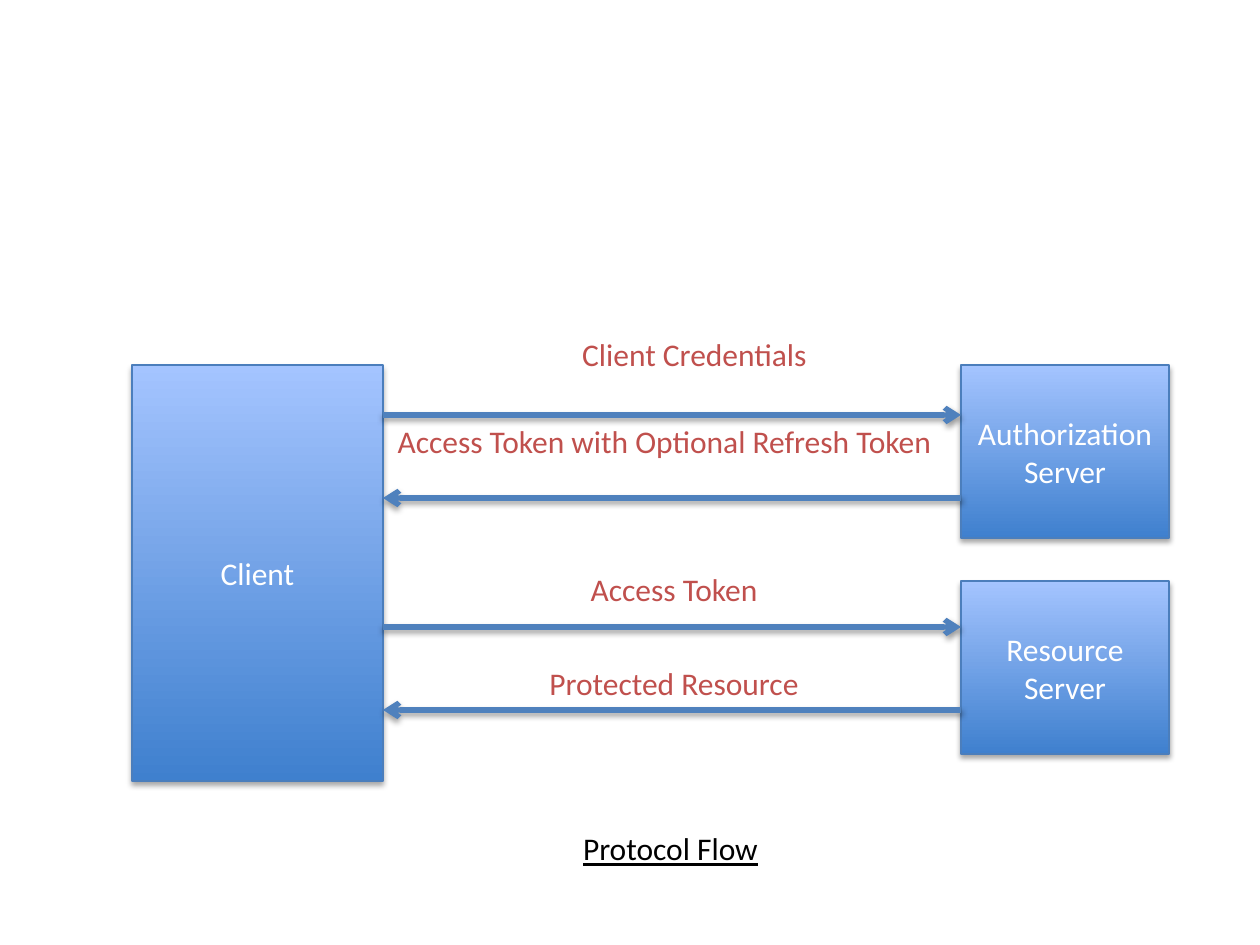
from lxml import etree
from pptx import Presentation
from pptx.dml.color import RGBColor
from pptx.enum.shapes import MSO_CONNECTOR, MSO_SHAPE
from pptx.enum.text import MSO_ANCHOR, MSO_AUTO_SIZE, PP_ALIGN
from pptx.oxml import parse_xml
from pptx.oxml.ns import nsdecls, qn
from pptx.util import Emu, Pt

PX = 914400 / 126
COLORS = {
    "dark": "3F80CE", "light": "A4C4FF", "edge": "4B7EBC", "arrow": "4F81BD",
    "label": "C0504D", "white": "FFFFFF", "black": "000000",
}
CLIENT_RIGHT, SERVER_LEFT = 383, 961


def px(*values):
    """Turn pixel lengths into EMU."""
    return [Emu(round(v * PX)) for v in values]


def rgb(name):
    """Look up a named colour."""
    return RGBColor.from_string(COLORS[name])


def write(sp, text, color="label", size=18, underline=None, anchor=MSO_ANCHOR.TOP,
          auto_size=MSO_AUTO_SIZE.NONE):
    """Put one centred, formatted paragraph into a shape."""
    tf = sp.text_frame
    tf.word_wrap = True
    tf.auto_size = auto_size
    tf.vertical_anchor = anchor
    p = tf.paragraphs[0]
    p.alignment = PP_ALIGN.CENTER
    r = p.add_run()
    r.text = text
    r.font.name = "Calibri"
    r.font.size = Pt(size)
    r.font.underline = underline
    r.font.color.rgb = rgb(color)


def add_shadow(sp, distance, opacity):
    """Give a shape a soft shadow straight below it."""
    sp._element.spPr.append(parse_xml(
        f'<a:effectLst {nsdecls("a")}><a:outerShdw blurRad="{Pt(3.1)}" dist="{Pt(distance)}" '
        f'dir="5400000" rotWithShape="0"><a:srgbClr val="{COLORS["black"]}">'
        f'<a:alpha val="{opacity * 1000}"/></a:srgbClr></a:outerShdw></a:effectLst>'))


def add_box(s, text, x, y, w, h):
    """Add a gradient box for one party of the protocol."""
    sp = s.shapes.add_shape(MSO_SHAPE.RECTANGLE, *px(x, y, w, h))
    sp.fill.gradient()
    sp.fill.gradient_angle = 90
    for stop, color in zip(sp.fill.gradient_stops, ("dark", "light")):
        stop.color.rgb = rgb(color)
    sp.line.color.rgb = rgb("edge")
    sp.line.width = Pt(0.75)
    add_shadow(sp, 1.8, 35)
    write(sp, text, color="white", anchor=MSO_ANCHOR.MIDDLE)


def add_arrow(s, start, end, y):
    """Add a horizontal arrow from start to end."""
    sp = s.shapes.add_connector(MSO_CONNECTOR.STRAIGHT, *px(start, y, end, y))
    sp.line.color.rgb = rgb("arrow")
    sp.line.width = Pt(3)
    etree.SubElement(sp.line._get_or_add_ln(), qn("a:tailEnd"), type="arrow")
    add_shadow(sp, 1.6, 38)


def add_label(s, text, x, y, w, h=50):
    """Add the label of a message."""
    sp = s.shapes.add_textbox(*px(x, y, w, h))
    write(sp, text, auto_size=MSO_AUTO_SIZE.SHAPE_TO_FIT_TEXT)


def add_title(s, text, x, y, w, h):
    """Move the title placeholder below the diagram and fill it."""
    sp = s.shapes.title
    sp.left, sp.top, sp.width, sp.height = px(x, y, w, h)
    write(sp, text, color="black", underline=True)


def main():
    """Build the protocol flow slide."""
    prs = Presentation()
    prs.slide_width, prs.slide_height = px(1260, 945)
    s = prs.slides.add_slide(prs.slide_layouts[5])
    add_title(s, "Protocol Flow", 428, 823, 485, 50)

    add_box(s, "Client", 132, 365, 251, 416)
    for text, y in (("Authorization Server", 365), ("Resource Server", 581)):
        add_box(s, text, SERVER_LEFT, y, 208, 173)

    for y in (415, 627):
        add_arrow(s, CLIENT_RIGHT, SERVER_LEFT, y)
        add_arrow(s, SERVER_LEFT, CLIENT_RIGHT, y + 83)

    add_label(s, "Client Credentials", 428, 329, 533)
    add_label(s, "Access Token with Optional Refresh Token", 383, 416, 563, 89)
    add_label(s, "Access Token", 489, 564, 370)
    add_label(s, "Protected Resource", 489, 658, 370)
    prs.save("out.pptx")


if __name__ == "__main__":
    main()
